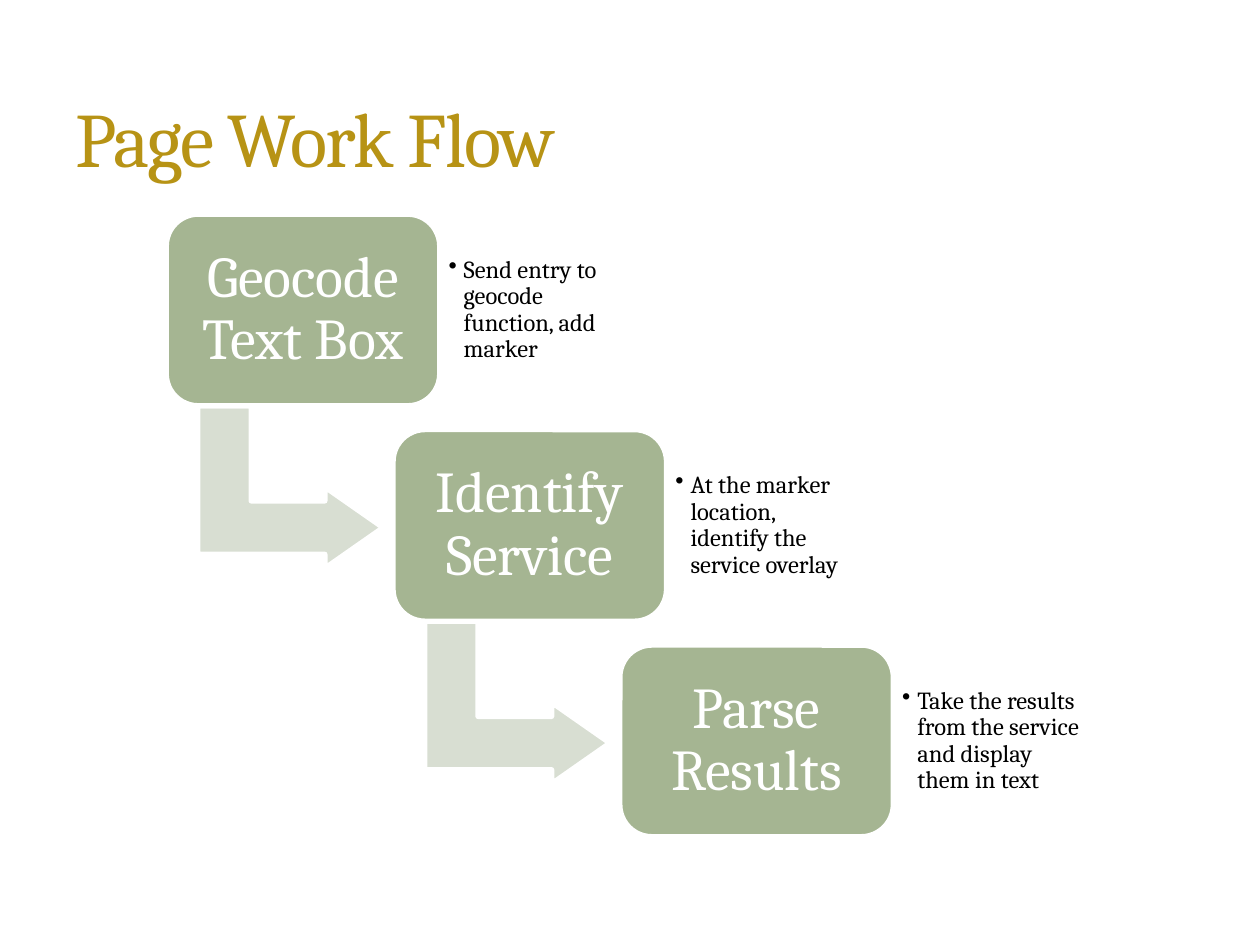
from dataclasses import dataclass

from lxml.etree import SubElement
from pptx import Presentation
from pptx.dml.color import RGBColor
from pptx.enum.shapes import MSO_SHAPE
from pptx.enum.text import MSO_ANCHOR, PP_ALIGN
from pptx.oxml.ns import qn
from pptx.util import Inches, Pt

COLORS = {
    "title": "B79315",
    "box": "A5B592",
    "arrow": "D8DED2",
    "white": "FFFFFF",
    "black": "000000",
}
FONT = "Cambria"

# Staircase grid: each step moves one column right and one row down
LEFT, TOP = 1.32, 1.7
COLUMN, ROW = 1.8, 1.71
BOX_WIDTH, BOX_HEIGHT = 2.17, 1.52
NOTE_WIDTH, NOTE_HEIGHT = 1.58, 1.23
ARROW_WIDTH, ARROW_HEIGHT = 1.29, 1.47
ARROW_OFFSET = (0.34, 1.43)
BULLET_INDENT = 0.12


@dataclass
class Step:
    name: str
    note: str


@dataclass
class TextStyle:
    size: float
    color: str
    inset: float
    para: dict
    anchor: MSO_ANCHOR = MSO_ANCHOR.MIDDLE


STEPS = [
    Step("Geocode Text Box", "Send entry to geocode function, add marker"),
    Step("Identify Service", "At the marker location, identify the service overlay"),
    Step("Parse Results", "Take the results from the service and display them in text"),
]
TITLE_STYLE = TextStyle(44, "title", 0.1, {"alignment": PP_ALIGN.LEFT}, MSO_ANCHOR.BOTTOM)
NAME_STYLE = TextStyle(33, "white", 0.14, {
    "alignment": PP_ALIGN.CENTER, "line_spacing": 0.9, "space_after": Pt(12)})
NOTE_STYLE = TextStyle(14, "black", 0.07, {
    "alignment": PP_ALIGN.LEFT, "line_spacing": 0.9, "space_after": Pt(2), "level": 1})


def set_all(target, values: dict) -> None:
    for name, value in values.items():
        setattr(target, name, value)


def write(shape, text: str, style: TextStyle):
    """Fill a shape with one styled paragraph and return the paragraph."""
    frame = shape.text_frame
    set_all(frame, {"word_wrap": True, "vertical_anchor": style.anchor})
    # The title keeps the usual thin margins above and below
    vertical = 0.05 if style is TITLE_STYLE else style.inset
    set_all(frame, {
        "margin_left": Inches(style.inset), "margin_right": Inches(style.inset),
        "margin_top": Inches(vertical), "margin_bottom": Inches(vertical)})
    para = frame.paragraphs[0]
    set_all(para, style.para)
    span = para.add_run()
    span.text = text
    set_all(span.font, {"name": FONT, "size": Pt(style.size)})
    span.font.color.rgb = RGBColor.from_string(COLORS[style.color])
    return para


def add_text(page, left: float, top: float, width: float, height: float,
             text: str, style: TextStyle):
    box = page.shapes.add_textbox(*map(Inches, (left, top, width, height)))
    return write(box, text, style)


def add_block(page, kind: MSO_SHAPE, left: float, top: float, width: float,
              height: float, color: str, adjustments: list[float]):
    block = page.shapes.add_shape(kind, *map(Inches, (left, top, width, height)))
    block.shadow.inherit = False
    block.fill.solid()
    block.fill.fore_color.rgb = RGBColor.from_string(COLORS[color])
    block.line.color.rgb = RGBColor.from_string(COLORS["white"])
    block.line.width = Pt(3)
    for index, value in enumerate(adjustments):
        block.adjustments[index] = value
    return block


def add_bullet(para) -> None:
    properties = para._p.get_or_add_pPr()
    properties.set("marL", str(Inches(BULLET_INDENT)))
    properties.set("indent", str(-Inches(BULLET_INDENT)))
    SubElement(properties, qn("a:buChar")).set("char", "•")


def add_step(page, index: int, step: Step) -> None:
    left, top = LEFT + index * COLUMN, TOP + index * ROW
    # Arrow to the next step
    if index < len(STEPS) - 1:
        arrow = add_block(page, MSO_SHAPE.BENT_UP_ARROW,
                          left + ARROW_OFFSET[0], top + ARROW_OFFSET[1],
                          ARROW_WIDTH, ARROW_HEIGHT, "arrow", [0.328, 0.25, 0.358])
        arrow.rotation = 90
    # Named box
    box = add_block(page, MSO_SHAPE.ROUNDED_RECTANGLE, left, top,
                    BOX_WIDTH, BOX_HEIGHT, "box", [0.167])
    write(box, step.name, NAME_STYLE)
    # Bulleted note, centred beside the box
    note = add_text(page, left + BOX_WIDTH, top + (BOX_HEIGHT - NOTE_HEIGHT) / 2,
                    NOTE_WIDTH, NOTE_HEIGHT, step.note, NOTE_STYLE)
    add_bullet(note)


def main() -> None:
    deck = Presentation()
    set_all(deck, {"slide_width": Inches(10), "slide_height": Inches(7.5)})
    page = deck.slides.add_slide(deck.slide_layouts[6])

    for index, step in enumerate(STEPS):
        add_step(page, index, step)

    # Title with slightly tightened letters
    title = add_text(page, 0.5, 0.17, 9, 1.33, "Page Work Flow", TITLE_STYLE)
    title.runs[0].font._element.set("spc", "-100")

    deck.save("out.pptx")


if __name__ == "__main__":
    main()
